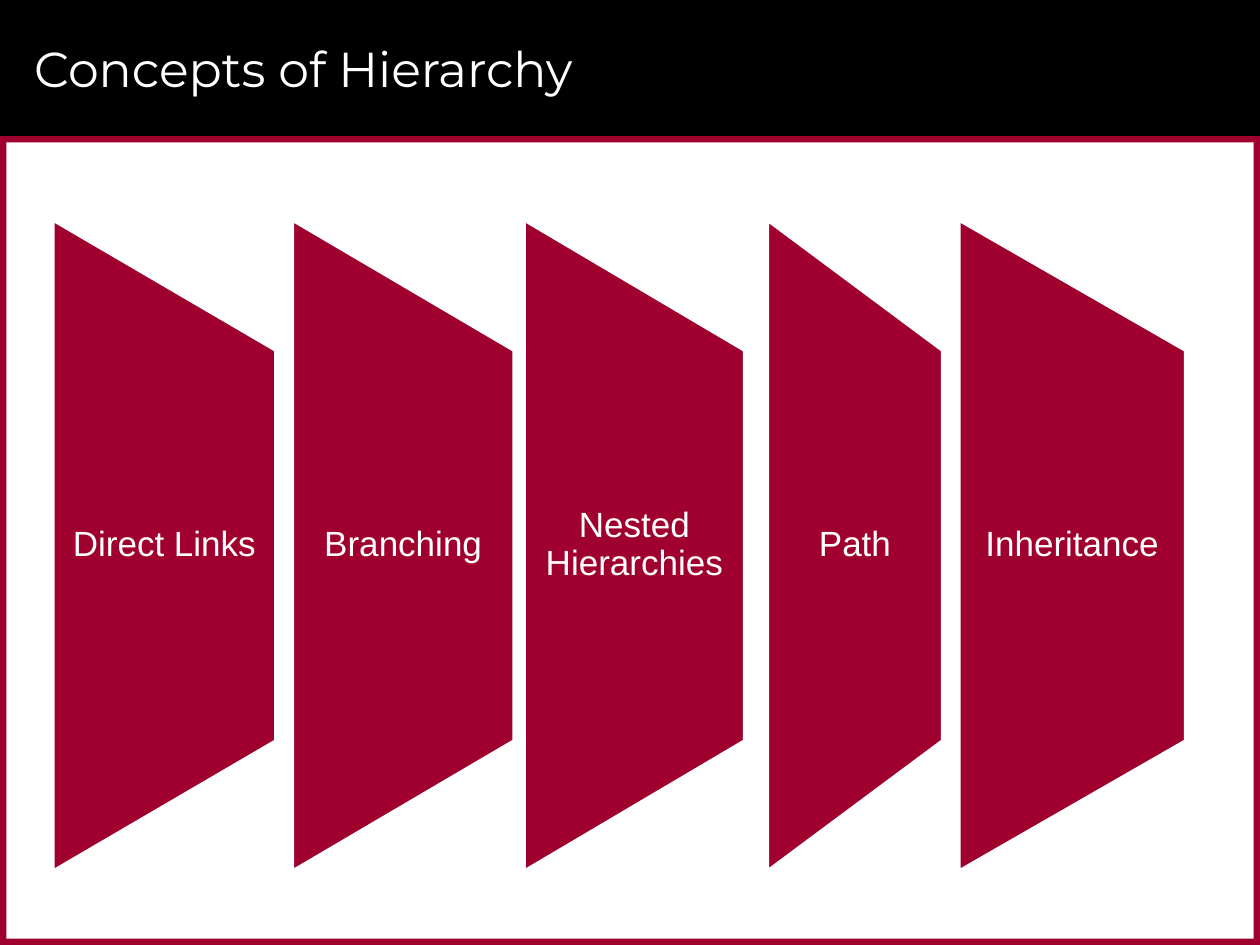
from pptx import Presentation
from pptx.dml.color import RGBColor
from pptx.enum.shapes import MSO_SHAPE
from pptx.enum.text import MSO_ANCHOR, PP_ALIGN
from pptx.util import Pt

RECT = MSO_SHAPE.RECTANGLE
TRAPEZOID = MSO_SHAPE.FLOWCHART_MANUAL_OPERATION
MIDDLE = MSO_ANCHOR.MIDDLE
LEFT, CENTER = PP_ALIGN.LEFT, PP_ALIGN.CENTER

PX = 9144  # 100 px to the inch
W, H = 1000, 750
BLACK, WHITE, RED = "000000", "FFFFFF", "9F002D"


def px(*lengths):
    """Turn px lengths into EMU."""
    return [round(n * PX) for n in lengths]


def rgb(color):
    return RGBColor.from_string(color)


prs = Presentation()
prs.slide_width, prs.slide_height = px(W, H)
s = prs.slides.add_slide(prs.slide_layouts[5])

# Header band and red frame
HEADER, EDGE = 108, 5
BANDS = [
    (0, 0, W, HEADER, BLACK),
    (0, HEADER, W, EDGE, RED),
    (0, H - EDGE, W, EDGE, RED),
    (W - EDGE, HEADER, EDGE, H - HEADER, RED),
    (0, HEADER, EDGE, H - HEADER, RED),
]
for *box, color in BANDS:
    sp = s.shapes.add_shape(RECT, *px(*box))
    sp.shadow.inherit = False
    sp.fill.solid()
    sp.fill.fore_color.rgb = rgb(color)
    sp.line.fill.background()

# Title, brought in front of the header band
title = s.shapes.title
s.shapes._spTree.append(title._element)
title.left, title.top, title.width, title.height = px(17, 8, 942, 92)
tf = title.text_frame
tf.text = "Concepts of Hierarchy"
tf.vertical_anchor = MIDDLE
p = tf.paragraphs[0]
p.alignment = LEFT
p.font.name = "Montserrat"
p.font.size = Pt(28)
p.font.color.rgb = rgb(WHITE)

# Panels: trapezoids turned a quarter, each with an upright label
PANEL_H, LABEL_H, MID_Y, INSET = 517, 310, 433, 14
PANELS = [
    ("Direct Links", 42, 177),
    ("Branching", 232, 176),
    ("Nested Hierarchies", 416, 175),
    ("Path", 609, 139),
    ("Inheritance", 761, 180),
]
for label, x, w in PANELS:
    sp = s.shapes.add_shape(
        TRAPEZOID, *px(x + (w - PANEL_H) / 2, MID_Y - w / 2, PANEL_H, w))
    sp.rotation = 270
    sp.shadow.inherit = False
    sp.fill.solid()
    sp.fill.fore_color.rgb = rgb(RED)
    sp.line.color.rgb = rgb(WHITE)
    sp.line.width = Pt(2)

    tb = s.shapes.add_textbox(*px(x, MID_Y - LABEL_H / 2, w, LABEL_H))
    tf = tb.text_frame
    tf.word_wrap = True
    tf.vertical_anchor = MIDDLE
    tf.margin_left, tf.margin_top, tf.margin_right, tf.margin_bottom = px(
        INSET, 0, INSET, 0)
    p = tf.paragraphs[0]
    p.text = label
    p.alignment = CENTER
    p.line_spacing = 0.9
    p.font.name = "Arial"
    p.font.size = Pt(20)
    p.font.color.rgb = rgb(WHITE)

prs.save("out.pptx")
